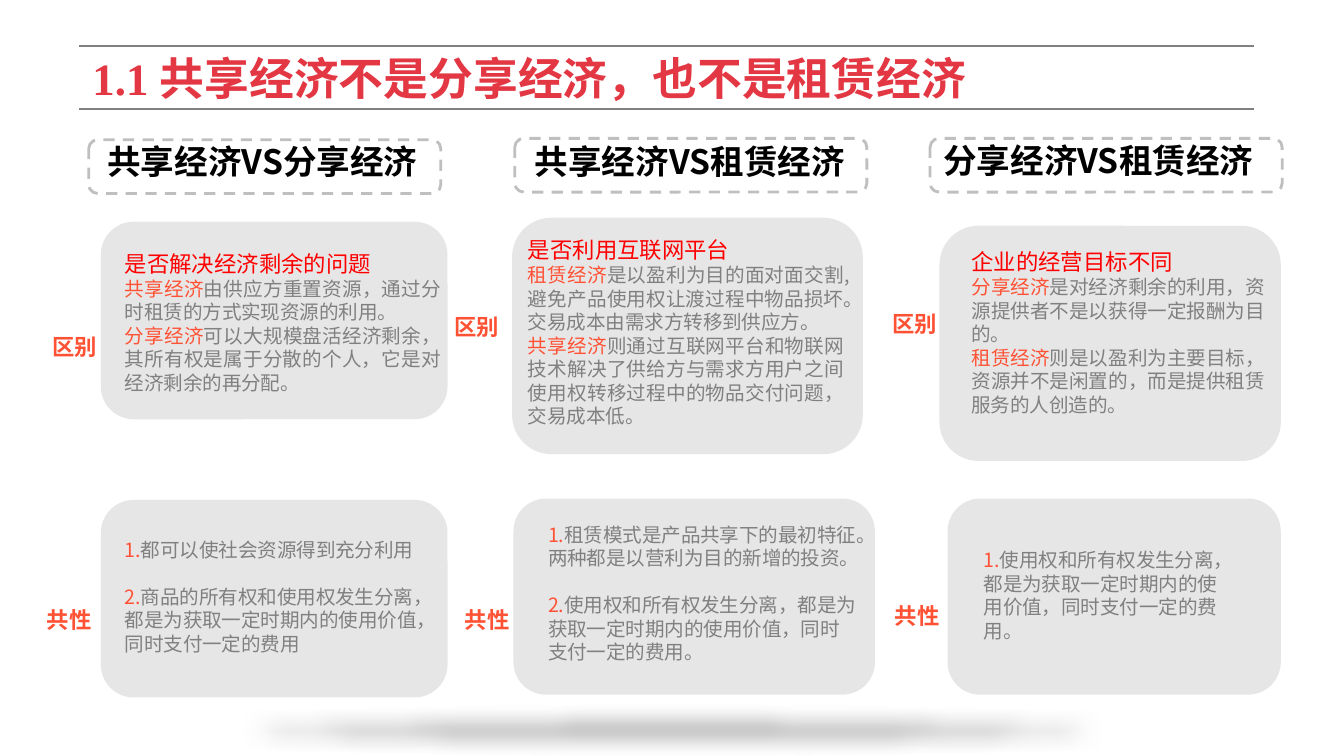
from lxml import etree
from pptx import Presentation
from pptx.dml.color import RGBColor
from pptx.enum.dml import MSO_LINE
from pptx.enum.shapes import MSO_CONNECTOR, MSO_SHAPE
from pptx.enum.text import MSO_ANCHOR, PP_ALIGN
from pptx.oxml.ns import qn
from pptx.util import Inches, Pt

DASH = MSO_LINE.DASH
STRAIGHT = MSO_CONNECTOR.STRAIGHT
ELLIPSE, RECTANGLE, ROUNDED = MSO_SHAPE.OVAL, MSO_SHAPE.RECTANGLE, MSO_SHAPE.ROUNDED_RECTANGLE
LEFT, JUSTIFY = PP_ALIGN.LEFT, PP_ALIGN.JUSTIFY
TOP, MIDDLE = MSO_ANCHOR.TOP, MSO_ANCHOR.MIDDLE
SANS, SERIF = "Noto Sans CJK SC", "Times New Roman"
BLACK, WHITE, RED, CRIMSON, ORANGE = "000000", "FFFFFF", "FF0000", "E33743", "FF5235"
GRAY, PANEL, OUTLINE, SHADE = "808080", "E7E6E6", "BFBFBF", "A6A6A6"
HEADING_SIZE, LABEL_SIZE, BODY_SIZE = 18, 12, 10.5
LINE_HEIGHT = 1.2

SLIDE_WIDTH = Inches(10)
SLIDE_HEIGHT = SLIDE_WIDTH * 9 // 16
TITLE = "1.1 共享经济不是分享经济，也不是租赁经济"
TITLE_LEFT, TITLE_WIDTH = 0.59, 8.74
RULE_TOPS = (0.34, 0.81)
FRAME_SIZE = (2.62, 0.4)
LABEL_HEIGHT = 0.3

COLUMNS = [
    {
        "heading": ("共享经济VS分享经济", (0.7, 1, 2.84, 0.4)),
        "frame": (0.66, 1.04),
        "difference": {
            "panel": (0.75, 1.65, 2.58, 1.47),
            "label": (0.29, 2.43, 0.58),
            "text": (0.83, 1.81, 2.55, 1.19),
            "question": "是否解决经济剩余的问题",
            "points": [
                ("共享经济", "由供应方重置资源，通过分时租赁的方式实现资源的利用。"),
                ("分享经济", "可以大规模盘活经济剩余，其所有权是属于分散的个人，它是对经济剩余的再分配。"),
            ],
        },
        "common": {
            "panel": (0.75, 3.72, 2.58, 1.47),
            "label": (0.25, 4.46, 0.69),
            "text": (0.83, 3.95, 2.5, 0.98),
            "points": [
                ("1.", "都可以使社会资源得到充分利用"),
                ("2.", "商品的所有权和使用权发生分离，都是为获取一定时期内的使用价值，同时支付一定的费用"),
            ],
        },
    },
    {
        "heading": ("共享经济VS租赁经济", (3.88, 1, 2.68, 0.4)),
        "frame": (3.83, 1.03),
        "difference": {
            "panel": (3.81, 1.62, 2.61, 1.76),
            "label": (3.28, 2.28, 0.65),
            "text": (3.83, 1.71, 2.55, 1.57),
            "question": "是否利用互联网平台",
            "points": [
                ("租赁经济", "是以盈利为目的面对面交割,避免产品使用权让渡过程中物品损坏。交易成本由需求方转移到供应方。"),
                ("共享经济", "则通过互联网平台和物联网技术解决了供给方与需求方用户之间使用权转移过程中的物品交付问题，交易成本低。"),
            ],
        },
        "common": {
            "panel": (3.82, 3.71, 2.69, 1.46),
            "label": (3.36, 4.46, 0.68),
            "text": (3.98, 3.84, 2.5, 1.16),
            "points": [
                ("1.", "租赁模式是产品共享下的最初特征。两种都是以营利为目的新增的投资。"),
                ("2.", "使用权和所有权发生分离，都是为获取一定时期内的使用价值，同时支付一定的费用。"),
            ],
        },
    },
    {
        "heading": ("分享经济VS租赁经济", (6.92, 0.99, 2.8, 0.4)),
        "frame": (6.92, 1.03),
        "difference": {
            "panel": (6.99, 1.68, 2.54, 1.75),
            "label": (6.54, 2.26, 0.56),
            "text": (7.13, 1.8, 2.38, 1.36),
            "question": "企业的经营目标不同",
            "points": [
                ("分享经济", "是对经济剩余的利用，资源提供者不是以获得一定报酬为目的。"),
                ("租赁经济", "则是以盈利为主要目标，资源并不是闲置的，而是提供租赁服务的人创造的。"),
            ],
        },
        "common": {
            "panel": (7.05, 3.71, 2.48, 1.46),
            "label": (6.56, 4.43, 0.69),
            "text": (7.22, 4.03, 2.02, 0.81),
            "points": [
                ("1.", "使用权和所有权发生分离，都是为获取一定时期内的使用价值，同时支付一定的费用。"),
            ],
        },
    },
]


def color(value):
    """Turn a hex string into a colour."""
    return RGBColor.from_string(value)


def add_figure(page, kind, area, fill=None, line=None):
    """Add a flat shape with an optional fill and dashed outline."""
    figure = page.shapes.add_shape(kind, *map(Inches, area))
    figure.shadow.inherit = False
    if fill:
        figure.fill.solid()
        figure.fill.fore_color.rgb = color(fill)
    else:
        figure.fill.background()
    if line:
        figure.line.color.rgb = color(line)
        figure.line.width = Pt(1.5)
        figure.line.dash_style = DASH
    else:
        figure.line.fill.background()
    return figure


def write(frame, paragraphs, align=LEFT, anchor=TOP, font=SANS, bold=False, gap=0):
    """Write paragraphs given as a size and a list of coloured spans."""
    frame.word_wrap = True
    frame.vertical_anchor = anchor
    for index, (size, spans) in enumerate(paragraphs):
        para = frame.add_paragraph() if index else frame.paragraphs[0]
        para.alignment = align
        if index and gap:
            para.space_before = Pt(gap)
        para.font.name, para.font.size, para.font.bold = font, Pt(size), bold
        for text, shade in spans:
            span = para.add_run()
            span.text = text
            span.font.color.rgb = color(shade)
            east_asian = etree.SubElement(span.font._element, qn("a:ea"))
            east_asian.set("typeface", SANS)


def add_text(page, area, paragraphs, **style):
    """Add a text box."""
    box = page.shapes.add_textbox(*map(Inches, area))
    write(box.text_frame, paragraphs, **style)


def add_section(page, label, section):
    """Add a panel with its side label and its points."""
    add_figure(page, ROUNDED, section["panel"], PANEL)
    add_text(page, (*section["label"], LABEL_HEIGHT), [(LABEL_SIZE, [(label, ORANGE)])], bold=True)
    points = [(BODY_SIZE, [(term, ORANGE), (text, GRAY)]) for term, text in section["points"]]
    if "question" in section:
        question = (LABEL_SIZE, [(section["question"], RED)])
        add_text(page, section["text"], [question, *points], align=JUSTIFY)
    else:
        add_text(page, section["text"], points, gap=BODY_SIZE * LINE_HEIGHT)


def add_title(page):
    """Add the title between its two rules."""
    band = add_figure(page, RECTANGLE, (TITLE_LEFT, 0.33, TITLE_WIDTH, 0.5), WHITE)
    write(band.text_frame, [(24, [(TITLE, CRIMSON)])], anchor=MIDDLE, font=SERIF, bold=True)
    for top in RULE_TOPS:
        ends = (TITLE_LEFT, top, TITLE_LEFT + TITLE_WIDTH, top)
        rule = page.shapes.add_connector(STRAIGHT, *map(Inches, ends))
        rule.line.color.rgb = color(GRAY)
        rule.line.width = Pt(1)
        etree.SubElement(rule._element.spPr, qn("a:effectLst"))


def main():
    """Build the comparison slide."""
    deck = Presentation()
    deck.slide_width, deck.slide_height = SLIDE_WIDTH, SLIDE_HEIGHT
    page = deck.slides.add_slide(deck.slide_layouts[6])
    glow = add_figure(page, ELLIPSE, (0.24, 5.24, 9.51, 0.38), SHADE)
    effects = glow._element.spPr.find(qn("a:effectLst"))
    etree.SubElement(effects, qn("a:softEdge")).set("rad", str(Pt(10)))
    for column in COLUMNS:
        add_section(page, "区别", column["difference"])
        add_section(page, "共性", column["common"])
        heading, area = column["heading"]
        add_text(page, area, [(HEADING_SIZE, [(heading, BLACK)])], bold=True)
        add_figure(page, ROUNDED, (*column["frame"], *FRAME_SIZE), line=OUTLINE)
    add_title(page)
    deck.save("out.pptx")


if __name__ == "__main__":
    main()
